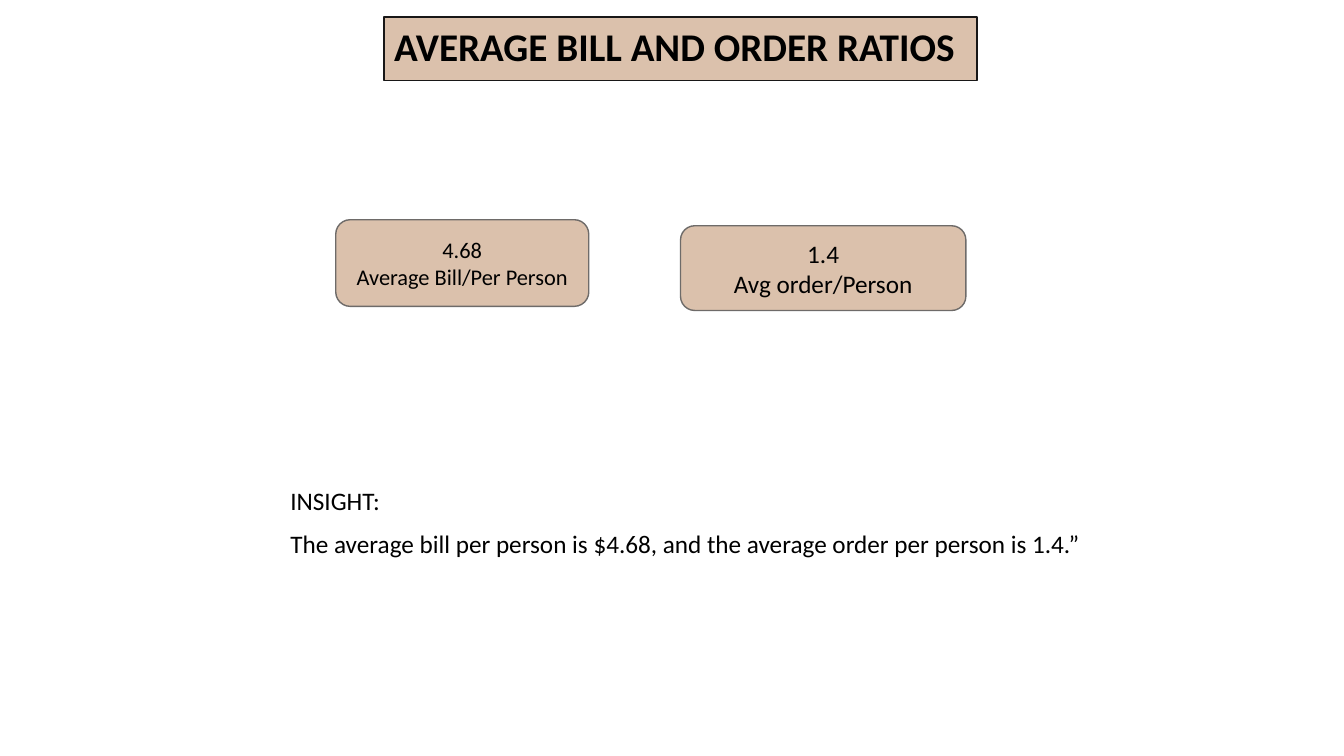
from lxml.etree import SubElement
from pptx import Presentation
from pptx.dml.color import RGBColor
from pptx.enum.shapes import MSO_SHAPE
from pptx.enum.text import MSO_ANCHOR, MSO_AUTO_SIZE, PP_ALIGN
from pptx.oxml import parse_xml
from pptx.oxml.ns import nsdecls, qn
from pptx.util import Inches, Pt

HUES = {"tan": "DBC1AC", "ink": "181717", "gray": "6E6B69", "text": "000000"}
FRAME = {"word_wrap": True, "auto_size": MSO_AUTO_SIZE.NONE}


def tint(name):
    """Return a named colour."""
    return RGBColor.from_string(HUES[name])


def put(item, values):
    """Set attributes from a dict of values."""
    for name, value in values.items():
        setattr(item, name, value)


def place(shape, box):
    """Move a shape to a box given in inches."""
    put(shape, dict(zip(("left", "top", "width", "height"), map(Inches, box))))


def paint(shape, edge):
    """Give a shape the tan fill and a thin edge."""
    shape.fill.solid()
    shape.fill.fore_color.rgb = tint("tan")
    shape.line.color.rgb = tint(edge)
    shape.line.width = Pt(1)


def write(shape, lines, size, anchor, style, bold=False):
    """Write one paragraph per line in a common style."""
    frame = shape.text_frame
    put(frame, FRAME | {"text": "\n".join(lines), "vertical_anchor": anchor})
    for para in frame.paragraphs:
        put(para, style)
        font = para.runs[0].font
        put(font, {"name": "Calibri", "size": Pt(size), "bold": bold})
        font.color.rgb = tint("text")


def add_title(slide, box):
    """Set the title in a rounded banner."""
    title = slide.shapes.title
    place(title, box)
    title.element.spPr.insert(1, parse_xml(
        f'<a:prstGeom {nsdecls("a")} prst="roundRect"><a:avLst/></a:prstGeom>'))
    paint(title, "ink")
    write(title, ["AVERAGE BILL AND ORDER RATIOS"], 28, MSO_ANCHOR.TOP,
          {"alignment": PP_ALIGN.LEFT}, True)


def add_card(slide, box, value, label, size):
    """Draw a rounded card with a value above its label."""
    card = slide.shapes.add_shape(MSO_SHAPE.ROUNDED_RECTANGLE, *map(Inches, box))
    card.shadow.inherit = False
    paint(card, "gray")
    write(card, [value, label], size, MSO_ANCHOR.MIDDLE,
          {"alignment": PP_ALIGN.CENTER})


def add_note(slide, box):
    """Set the insight text in the body, without bullets."""
    body = slide.placeholders[1]
    place(body, box)
    lines = ["INSIGHT:", "The average bill per person is $4.68, "
             "and the average order per person is 1.4.”"]
    write(body, lines, 18, MSO_ANCHOR.TOP,
          {"line_spacing": 1.07, "space_before": Pt(0), "space_after": Pt(8)})
    for para in body.text_frame.paragraphs:
        props = para._p.get_or_add_pPr()
        props.set("marL", "0")
        props.set("indent", "0")
        SubElement(props, qn("a:buNone"))


def main():
    """Build and save the slide."""
    deck = Presentation()
    put(deck, {"slide_width": Inches(13.33), "slide_height": Inches(7.5)})
    slide = deck.slides.add_slide(deck.slide_layouts[1])
    add_title(slide, (3.81, 0.17, 5.88, 0.63))
    add_note(slide, (2.78, 4.74, 8.67, 0.85))
    add_card(slide, (3.33, 2.18, 2.51, 0.86), "4.68", "Average Bill/Per Person", 16)
    add_card(slide, (6.75, 2.24, 2.83, 0.84), "1.4", "Avg order/Person", 18)
    deck.save("out.pptx")


if __name__ == "__main__":
    main()
